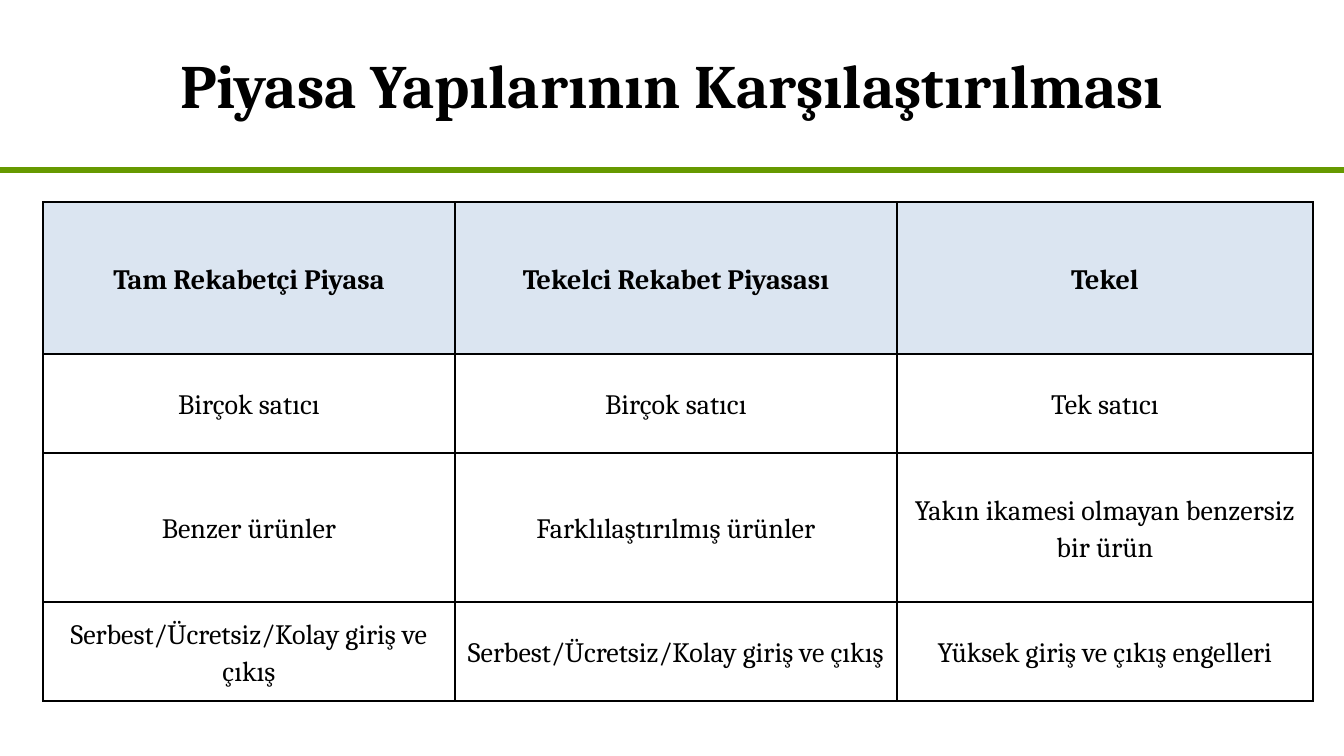
from lxml.etree import SubElement
from pptx import Presentation
from pptx.dml.color import RGBColor
from pptx.enum.shapes import MSO_CONNECTOR
from pptx.enum.text import MSO_ANCHOR, PP_ALIGN
from pptx.oxml.ns import qn
from pptx.util import Pt

EMU_PER_PX = 914400 / 100.8
SLIDE_WIDTH, SLIDE_HEIGHT = 1344, 756
FONT = "Cambria"
BLACK, GREEN, HEADER_BLUE = "000000", "669900", "DBE5F1"

COLUMN_WIDTHS = [412, 442, 416]
ROW_HEIGHTS = [152, 99, 149, 99]
MARKET_ROWS = [
    ["Tam Rekabetçi Piyasa", "Tekelci Rekabet Piyasası", "Tekel"],
    ["Birçok satıcı", "Birçok satıcı", "Tek satıcı"],
    ["Benzer ürünler", "Farklılaştırılmış ürünler",
     "Yakın ikamesi olmayan benzersiz bir ürün"],
    ["Serbest/Ücretsiz/Kolay giriş ve çıkış",
     "Serbest/Ücretsiz/Kolay giriş ve çıkış",
     "Yüksek giriş ve çıkış engelleri"],
]


def px(length):
    return round(length * EMU_PER_PX)


def color(hex_string):
    return RGBColor.from_string(hex_string)


def write_text(text_frame, text, size, bold=False, line_spacing=1.0):
    text_frame.word_wrap = True
    paragraph = text_frame.paragraphs[0]
    paragraph.alignment = PP_ALIGN.CENTER
    paragraph.line_spacing = line_spacing
    run = paragraph.add_run()
    run.text = text
    run.font.name = FONT
    run.font.size = Pt(size)
    run.font.bold = bold
    run.font.color.rgb = color(BLACK)


def add_title(slide, text, left, top, width, height):
    box = slide.shapes.add_textbox(px(left), px(top), px(width), px(height))
    box.text_frame.vertical_anchor = MSO_ANCHOR.MIDDLE
    write_text(box.text_frame, text, size=44, bold=True)


def add_rule(slide, left, top, width):
    line = slide.shapes.add_connector(
        MSO_CONNECTOR.STRAIGHT, px(left), px(top), px(left + width), px(top))
    line.line.color.rgb = color(GREEN)
    line.line.width = Pt(4.5)
    SubElement(line._element.spPr, qn("a:effectLst"))


def add_borders(cell):
    properties = cell._tc.get_or_add_tcPr()
    for side in ("a:lnL", "a:lnR", "a:lnT", "a:lnB"):
        border = SubElement(properties, qn(side), w=str(Pt(1)))
        fill = SubElement(border, qn("a:solidFill"))
        SubElement(fill, qn("a:srgbClr"), val=BLACK)


def fill_cell(cell, text, is_header):
    cell.vertical_anchor = MSO_ANCHOR.MIDDLE
    cell.margin_left = cell.margin_right = px(10)
    cell.margin_top = cell.margin_bottom = 0
    add_borders(cell)
    if is_header:
        cell.fill.solid()
        cell.fill.fore_color.rgb = color(HEADER_BLUE)
    else:
        cell.fill.background()
    write_text(cell.text_frame, text, size=20, bold=is_header, line_spacing=1.15)


def add_market_table(slide, left, top):
    table = slide.shapes.add_table(
        len(ROW_HEIGHTS), len(COLUMN_WIDTHS), px(left), px(top),
        px(sum(COLUMN_WIDTHS)), px(sum(ROW_HEIGHTS))).table
    table.horz_banding = False
    for column, width in zip(table.columns, COLUMN_WIDTHS):
        column.width = px(width)
    for row_index, (row, height) in enumerate(zip(table.rows, ROW_HEIGHTS)):
        row.height = px(height)
        for cell, text in zip(row.cells, MARKET_ROWS[row_index]):
            fill_cell(cell, text, is_header=row_index == 0)


def main():
    presentation = Presentation()
    presentation.slide_width = px(SLIDE_WIDTH)
    presentation.slide_height = px(SLIDE_HEIGHT)
    slide = presentation.slides.add_slide(presentation.slide_layouts[6])
    add_rule(slide, 0, 170, SLIDE_WIDTH)
    add_title(slide, "Piyasa Yapılarının Karşılaştırılması", 67, 0, 1210, 168)
    add_market_table(slide, 43, 202)
    presentation.save("out.pptx")


if __name__ == "__main__":
    main()
